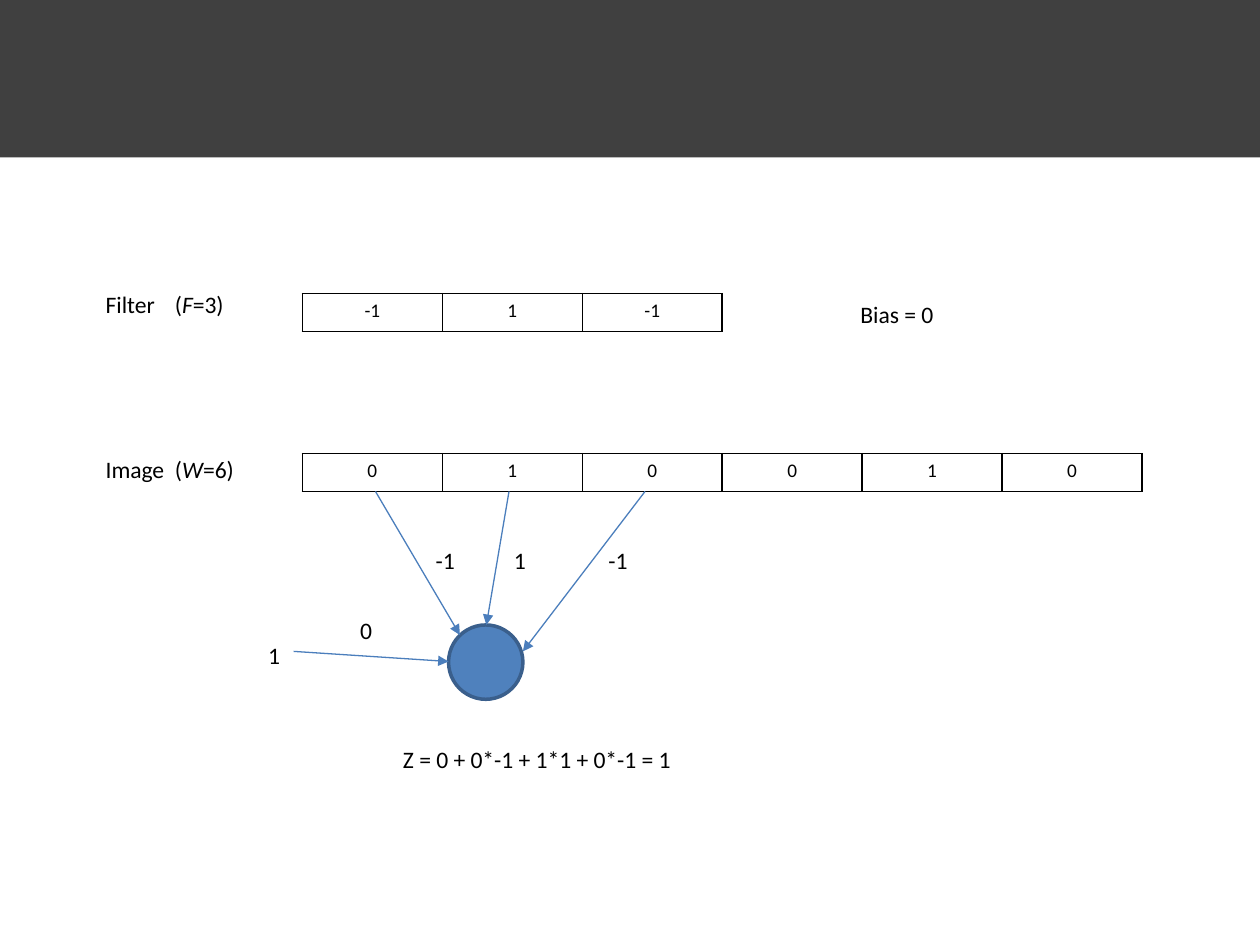
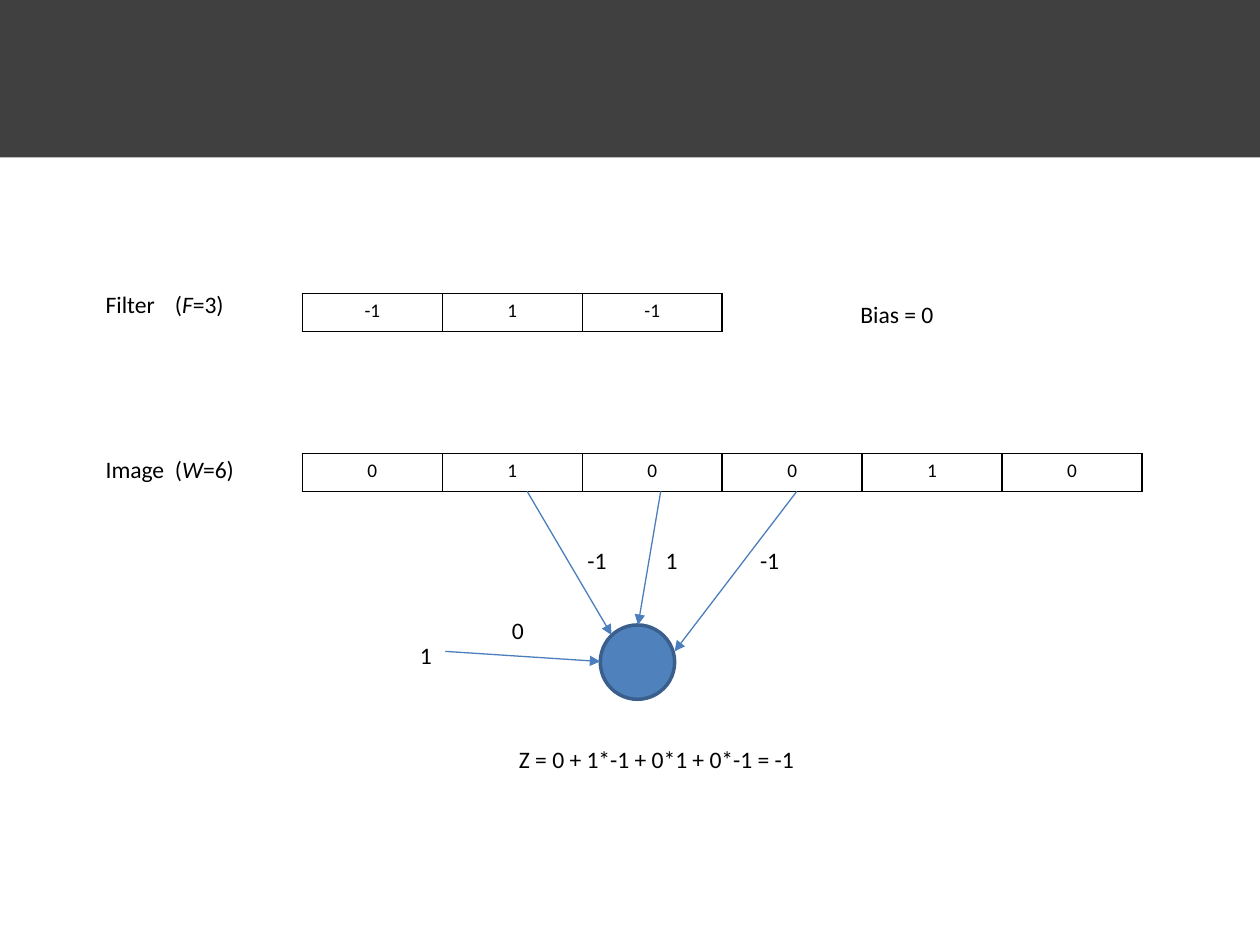
from lxml.etree import SubElement
from pptx import Presentation
from pptx.dml.color import RGBColor as Rgb
from pptx.enum.shapes import MSO_CONNECTOR as Link, MSO_SHAPE as Preset
from pptx.enum.text import MSO_AUTO_SIZE as AutoSize, PP_ALIGN as Align
from pptx.oxml.ns import qn
from pptx.util import Inches, Pt

COLORS = {
    "band": "404040",
    "text": "000000",
    "border": "000000",
    "neuron": "4F81BD",
    "rim": "3A5F8C",
    "arrow": "4B7EBC",
}
LABEL_FONT = {"name": "Calibri", "size": Pt(13.5)}
CELL_FONT = {"name": "Calibri", "size": Pt(11)}
CELL_FORMAT = {
    "margin_left": Inches(0.07),
    "margin_right": Inches(0.07),
    "margin_top": Inches(0.04),
    "margin_bottom": Inches(0.04),
}
COLUMNS, ROWS = 100, 75

FILTER = ["-1", "1", "-1"]
IMAGE = ["0", "1", "0", "0", "1", "0"]
CELL_WIDTH, CELL_HEIGHT = 11.11, 3
ARRAY_LEFT, FILTER_TOP, IMAGE_TOP = 24, 23.3, 36
STEP = 12.04  # columns the neuron moves for each filter position


def set_all(target, values):
    for name, value in values.items():
        setattr(target, name, value)


class Deck:
    """Style, grid and current slide; all lengths are grid columns and rows."""

    def __init__(self):
        self.prs = Presentation()
        self.prs.slide_width, self.prs.slide_height = Inches(10), Inches(7.5)
        self.shapes = None

    def new_slide(self):
        self.shapes = self.prs.slides.add_slide(self.prs.slide_layouts[6]).shapes
        self.shape(Preset.RECTANGLE, 0, 0, COLUMNS, ROWS / 6, "band")

    def x(self, columns):
        return round(self.prs.slide_width * columns / COLUMNS)

    def y(self, rows):
        return round(self.prs.slide_height * rows / ROWS)

    def box(self, left, top, width, height):
        return self.x(left), self.y(top), self.x(width), self.y(height)

    def add_text(self, paragraph, text, font, italic=None):
        run = paragraph.add_run()
        run.text = text
        set_all(run.font, {**font, "italic": italic})
        run.font.color.rgb = Rgb.from_string(COLORS["text"])

    def shape(self, preset, left, top, width, height, fill, rim=None):
        shape = self.shapes.add_shape(preset, *self.box(left, top, width, height))
        shape.shadow.inherit = False
        shape.fill.solid()
        shape.fill.fore_color.rgb = Rgb.from_string(COLORS[fill])
        if rim:
            shape.line.color.rgb = Rgb.from_string(COLORS[rim])
            shape.line.width = Pt(2)
        else:
            shape.line.fill.background()

    def label(self, left, top, width, *parts):
        """One line of text; every second part is italic."""
        frame = self.shapes.add_textbox(*self.box(left, top, width, 3.3)).text_frame
        set_all(frame, {"word_wrap": False, "auto_size": AutoSize.SHAPE_TO_FIT_TEXT})
        for index, part in enumerate(parts):
            self.add_text(frame.paragraphs[0], part, LABEL_FONT, index % 2 == 1)

    def array(self, top, values):
        """A one-row table with thin borders."""
        size = self.box(ARRAY_LEFT, top, CELL_WIDTH * len(values), CELL_HEIGHT)
        table = self.shapes.add_table(1, len(values), *size).table
        set_all(table, {"first_row": False, "horz_banding": False})
        for column, cell, value in zip(table.columns, table.iter_cells(), values):
            column.width = self.x(CELL_WIDTH)
            set_all(cell, CELL_FORMAT)
            self.border(cell)
            cell.fill.background()
            paragraph = cell.text_frame.paragraphs[0]
            paragraph.alignment = Align.CENTER
            self.add_text(paragraph, value, CELL_FONT)

    def border(self, cell):
        properties = cell._tc.get_or_add_tcPr()
        for side in ("a:lnL", "a:lnR", "a:lnT", "a:lnB"):
            line = SubElement(properties, qn(side), w=str(Pt(1)))
            fill = SubElement(line, qn("a:solidFill"))
            SubElement(fill, qn("a:srgbClr"), val=COLORS["border"])

    def arrow(self, start, end):
        (x1, y1), (x2, y2) = start, end
        arrow = self.shapes.add_connector(
            Link.STRAIGHT, self.x(x1), self.y(y1), self.x(x2), self.y(y2))
        arrow.line.color.rgb = Rgb.from_string(COLORS["arrow"])
        arrow.line.width = Pt(0.75)
        SubElement(arrow.line._get_or_add_ln(), qn("a:tailEnd"), type="triangle")
        SubElement(arrow._element.spPr, qn("a:effectLst"))


def draw_arrays(deck):
    deck.array(IMAGE_TOP, IMAGE)
    deck.label(7.4, 35.6, 6.7, "Image")
    deck.array(FILTER_TOP, FILTER)
    deck.label(7.4, 22.5, 6, "Filter")
    deck.label(12.9, 22.5, 6, "(", "F", "=3)")
    deck.label(12.9, 35.6, 6.8, "(", "W", "=6)")
    deck.label(67.3, 23.3, 7.9, "Bias = 0")


def draw_neuron(deck, position):
    """The neuron with its weighted inputs at one filter position."""
    shift = position * STEP
    deck.shape(Preset.OVAL, 35.6 + shift, 49.6, 5.9, 5.9, "neuron", "rim")
    image_bottom = IMAGE_TOP + CELL_HEIGHT
    inputs = [
        (29.8, (36.5, 50.4), 33.6, 3.6),
        (40.4, (38.6, 49.6), 39.8, 3),
        (51.2, (41.5, 51.7), 47.3, 3.6),
    ]
    for start, (end, end_row), _, _ in inputs:
        deck.arrow((start + shift, image_bottom), (end + shift, end_row))
    for weight, (_, _, left, width) in zip(FILTER, inputs):
        deck.label(left + shift, 42.8, width, weight)
    deck.arrow((23.3 + shift, 51.7), (35.6 + shift, 52.5))
    deck.label(20.3 + shift, 50.4, 3, "1")
    deck.label(27.6 + shift, 48.4, 3, "0")


def draw_result(deck, position, left, width):
    window = IMAGE[position:position + len(FILTER)]
    products = " + ".join(f"{pixel}*{weight}" for pixel, weight in zip(window, FILTER))
    total = sum(int(pixel) * int(weight) for pixel, weight in zip(window, FILTER))
    deck.label(left, 58.6, width, f"Z = 0 + {products} = {total}")


def main():
    deck = Deck()
    for position, (left, width) in enumerate([(31, 23.6), (40.2, 24.1)]):
        deck.new_slide()
        draw_arrays(deck)
        draw_neuron(deck, position)
        draw_result(deck, position, left, width)
    deck.prs.save("out.pptx")


if __name__ == "__main__":
    main()
